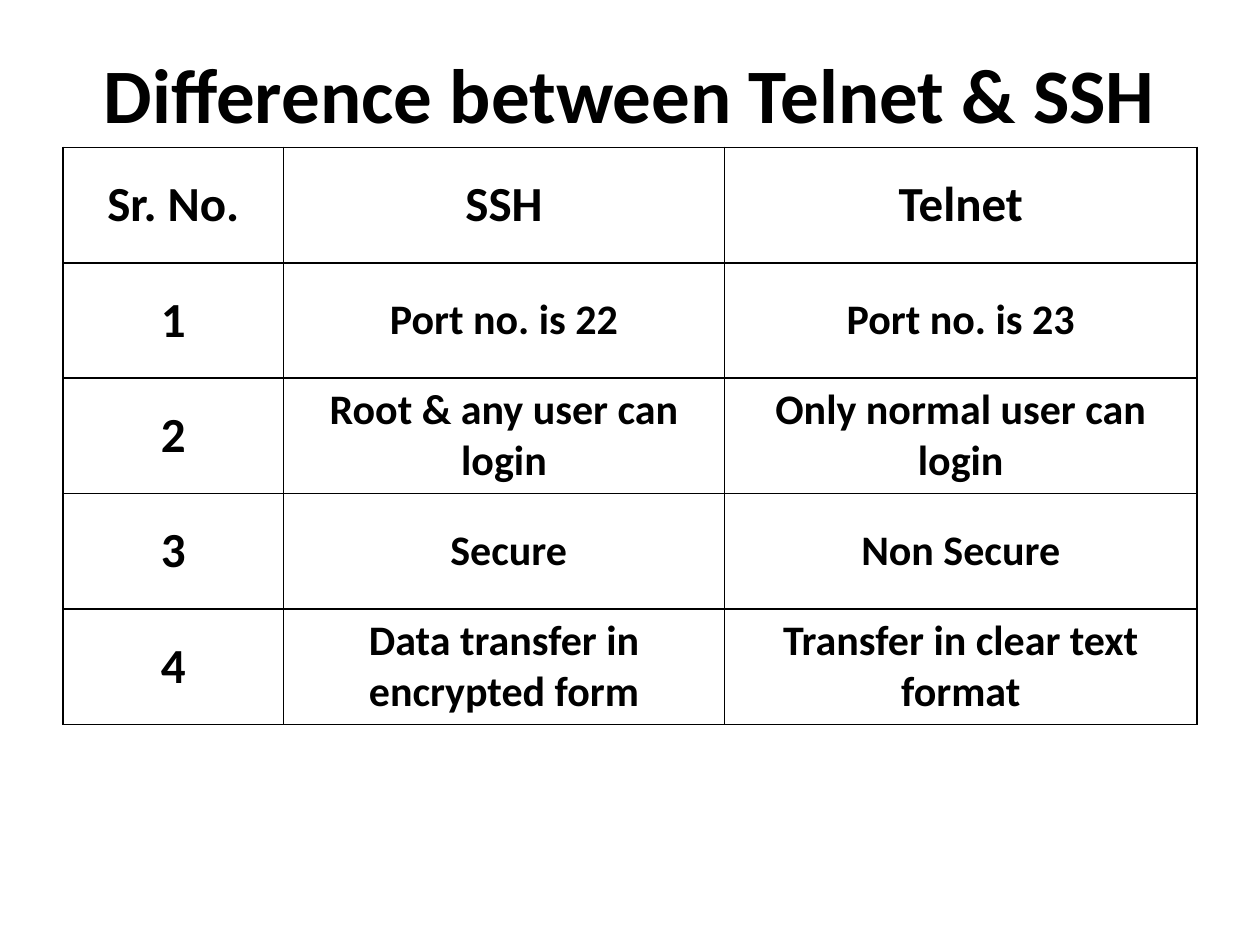
from typing import NamedTuple

from lxml import etree
from pptx import Presentation
from pptx import util as u
from pptx.dml.color import RGBColor
from pptx.enum import text
from pptx.oxml import ns

FONT = "Calibri"
BLACK = "000000"
WHITE = "FFFFFF"
LEFT, WIDTH = 0.5, 9
COLS = (1.75, 3.5, 3.75)
ROW_HEIGHT = 0.916


class Row(NamedTuple):
    number: str
    ssh: str
    telnet: str


ROWS = (
    Row("Sr. No.", "SSH", "Telnet"),
    Row("1", "Port no. is 22", "Port no. is 23"),
    Row("2", "Root & any user can login", "Only normal user can login"),
    Row("3", " Secure", "Non Secure"),
    Row("4", "Data transfer in encrypted form", "Transfer in clear text format"),
)


def paint(target, color: str) -> None:
    """Give a fill a solid colour."""
    target.solid()
    target.fore_color.rgb = RGBColor.from_string(color)


def write(frame, words: str, size: float) -> None:
    """Set one centred, bold, black paragraph."""
    frame.text = words
    frame.word_wrap = True
    line = frame.paragraphs[0]
    line.alignment = text.PP_ALIGN.CENTER
    for run in line.runs:
        run.font.name = FONT
        run.font.size = u.Pt(size)
        run.font.bold = True
        paint(run.font.fill, BLACK)


def border(cell, width: float) -> None:
    """Draw all four edges of a cell, width in points."""
    props = cell._tc.get_or_add_tcPr()
    for i, side in enumerate(("lnL", "lnR", "lnT", "lnB")):
        edge = etree.Element(ns.qn(f"a:{side}"), w=str(u.Pt(width)))
        fill = etree.SubElement(edge, ns.qn("a:solidFill"))
        etree.SubElement(fill, ns.qn("a:srgbClr"), val=BLACK)
        props.insert(i, edge)


def add_title(slide, words: str) -> None:
    title = slide.shapes.title
    title.left, title.top = u.Inches(LEFT), u.Inches(0.3)
    title.width, title.height = u.Inches(WIDTH), u.Inches(0.87)
    title.text_frame.vertical_anchor = text.MSO_ANCHOR.MIDDLE
    write(title.text_frame, words, 44)


def add_grid(slide, rows: tuple[Row, ...]) -> None:
    table = slide.shapes.add_table(
        len(rows), len(COLS), u.Inches(LEFT), u.Inches(1.17),
        u.Inches(WIDTH), u.Inches(ROW_HEIGHT * len(rows))).table
    for column, width in zip(table.columns, COLS):
        column.width = u.Inches(width)
    for r, row in enumerate(rows):
        table.rows[r].height = u.Inches(ROW_HEIGHT)
        for c, words in enumerate(row):
            cell = table.cell(r, c)
            cell.vertical_anchor = text.MSO_ANCHOR.MIDDLE
            write(cell.text_frame, words, 28 if r == 0 or c == 0 else 24)
            paint(cell.fill, WHITE)
            border(cell, 1)


def main() -> None:
    deck = Presentation()
    deck.slide_width, deck.slide_height = u.Inches(10), u.Inches(7.5)
    slide = deck.slides.add_slide(deck.slide_layouts[5])
    add_title(slide, "Difference between Telnet & SSH")
    add_grid(slide, ROWS)
    deck.save("out.pptx")


if __name__ == "__main__":
    main()
